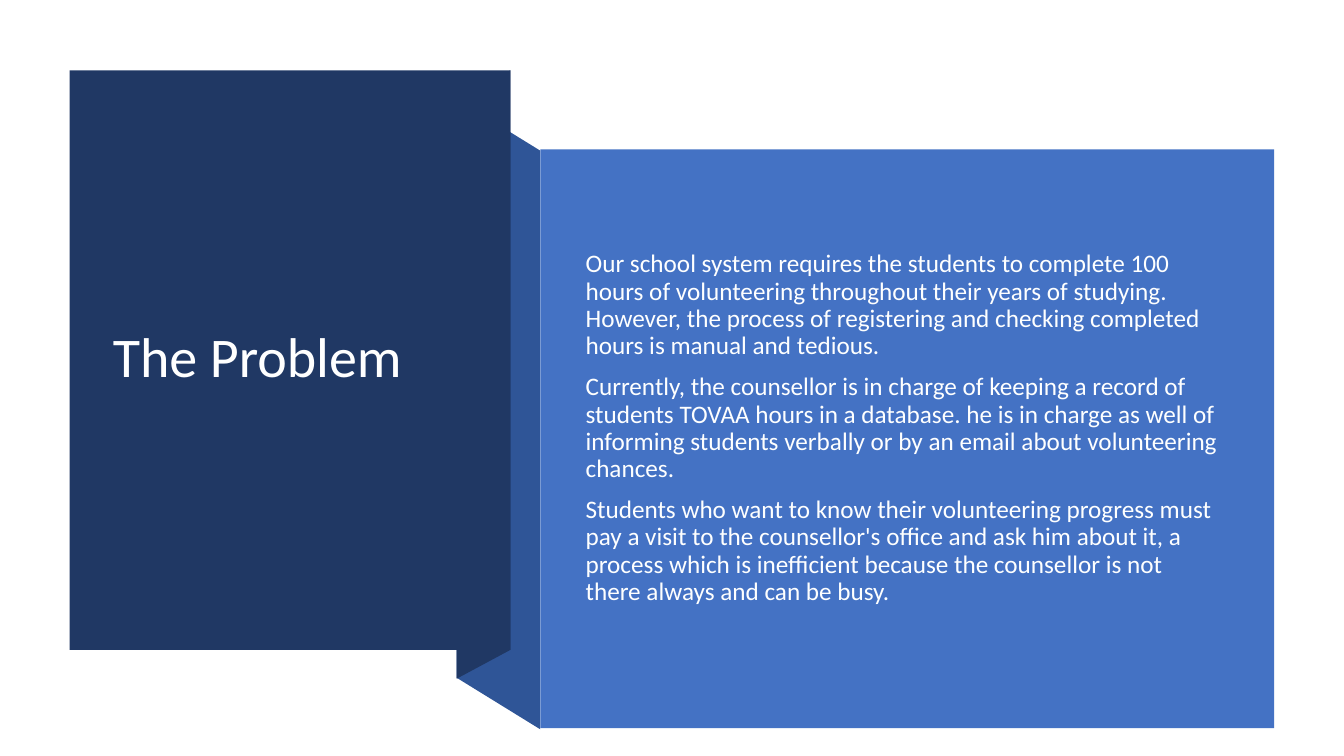
from pptx import Presentation
from pptx.dml.color import RGBColor as RGB
from pptx.enum.shapes import MSO_SHAPE as SHAPE
from pptx.enum.text import MSO_ANCHOR as ANCHOR, MSO_AUTO_SIZE as FIT, PP_ALIGN as ALIGN
from pptx.oxml.ns import qn
from pptx.util import Pt
from lxml import etree

COLORS = {"navy": "203864", "fold": "2F5597", "card": "4472C4",
          "title": "FFFFFF", "body": "FEFFFF"}
FRAME = {"word_wrap": True, "auto_size": FIT.NONE, "vertical_anchor": ANCHOR.MIDDLE}
TITLE = {"size": Pt(40), "name": "Calibri", "bold": False}
BODY = {"size": Pt(18), "name": "Calibri", "bold": False}
HEAD = {"alignment": ALIGN.LEFT, "line_spacing": 0.9, "space_before": Pt(0)}
PARA = {**HEAD, "space_before": Pt(10)}

PANEL = (49.8, 50.2, 314.8, 414)
CARD = (385.9, 106.8, 524.2, 413.3)
FOLD_LEFT = 326.2
FOLD_DROP = 20.6

PROBLEM = [
    "Our school system requires the students to complete 100 hours of volunteering "
    "throughout their years of studying. However, the process of registering and "
    "checking completed hours is manual and tedious.",
    "Currently, the counsellor is in charge of keeping a record of students TOVAA hours "
    "in a database. he is in charge as well of informing students verbally or by an "
    "email about volunteering chances.",
    "Students who want to know their volunteering progress must pay a visit to the "
    "counsellor's office and ask him about it, a process which is inefficient because "
    "the counsellor is not there always and can be busy.",
]


def apply(item, values):
    for key, value in values.items():
        setattr(item, key, value)


def paint(shape, color):
    shape.shadow.inherit = False
    shape.fill.solid()
    shape.fill.fore_color.rgb = RGB.from_string(COLORS[color])
    shape.line.fill.background()


def draw_fold(slide, left, right, tops, height, color):
    """Draw a slanted strip whose left and right edges start at the two tops."""
    start, end = tops
    form = slide.shapes.build_freeform(Pt(left), Pt(start))
    form.add_line_segments([(Pt(right), Pt(end)), (Pt(right), Pt(end + height)),
                            (Pt(left), Pt(start + height))], close=True)
    paint(form.convert_to_shape(), color)


def draw_box(slide, box, color):
    paint(slide.shapes.add_shape(SHAPE.RECTANGLE, *map(Pt, box)), color)


def fill_text(holder, box, lines, font, color, para):
    """Place a placeholder in front of the shapes and write its paragraphs."""
    holder.element.getparent().append(holder.element)
    apply(holder, dict(zip(("left", "top", "width", "height"), map(Pt, box))))
    frame = holder.text_frame
    frame.text = "\n".join(lines)
    apply(frame, FRAME)
    for line in frame.paragraphs:
        apply(line, para)
        apply(line.font, font)
        line.font.color.rgb = RGB.from_string(COLORS[color])
        props = line._p.get_or_add_pPr()
        props.set("marL", "0")
        props.set("indent", "0")
        etree.SubElement(props, qn("a:buNone"))
        # The schema puts bullets ahead of default run properties.
        rest = props.find(qn("a:defRPr"))
        if rest is not None:
            props.append(rest)
        for run in line.runs:
            apply(run.font, font)
            run.font.color.rgb = RGB.from_string(COLORS[color])


def add_title(slide, box):
    left, top, width, height = box
    draw_box(slide, box, "navy")
    fill_text(slide.shapes.title, (left + 23.6, top + 27, width - 47.7, height - 54.6),
              ["The Problem"], TITLE, "title", HEAD)


def add_body(slide, box):
    left, top, width, height = box
    draw_box(slide, box, "card")
    fill_text(slide.placeholders[1], (left + 25.2, top + 28.6, width - 55.5, height - 72),
              PROBLEM, BODY, "body", PARA)


def add_folds(slide, panel, card):
    """Join the panel to the card with a two-part ribbon fold."""
    edge, top = panel[0] + panel[2], panel[1]
    turn = top + FOLD_DROP
    draw_fold(slide, FOLD_LEFT, card[0], (turn, card[1] + 0.8), card[3], "fold")
    draw_fold(slide, FOLD_LEFT, edge, (turn, top), panel[3], "navy")


def main():
    deck = Presentation()
    deck.slide_width, deck.slide_height = Pt(960), Pt(540)
    slide = deck.slides.add_slide(deck.slide_layouts[1])
    add_folds(slide, PANEL, CARD)
    add_title(slide, PANEL)
    add_body(slide, CARD)
    deck.save("out.pptx")


if __name__ == "__main__":
    main()
